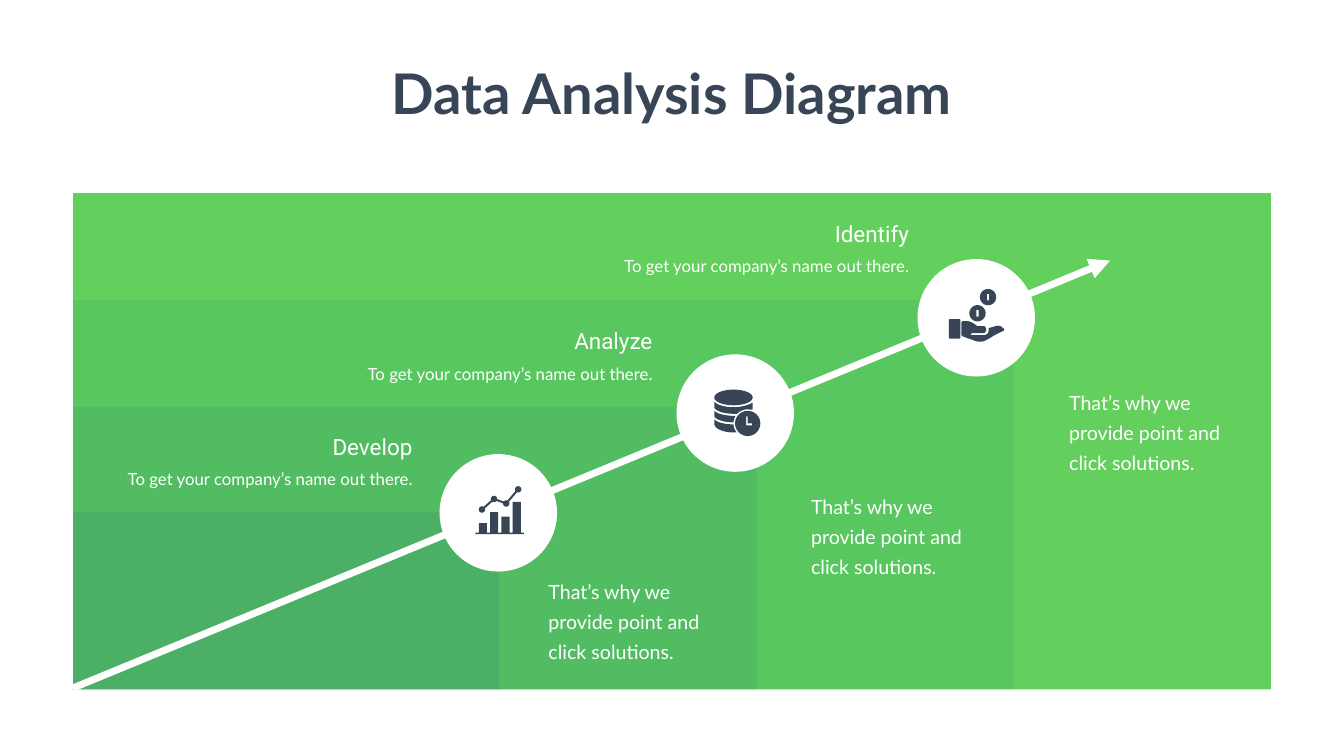
"""Build the data analysis diagram: nested green steps, a rising arrow and three stages."""
import math
from dataclasses import dataclass

import lxml.etree
import pptx
import pptx.dml.color
import pptx.enum.shapes
import pptx.enum.text
import pptx.oxml
import pptx.oxml.ns
import pptx.util

Pt = pptx.util.Pt
PRESET = pptx.enum.shapes.MSO_SHAPE
ALIGN = pptx.enum.text.PP_ALIGN
Contour = list[tuple[float, ...]]

WHITE, DARK = "FFFFFF", "374556"
LEFT, BOTTOM = 104.4, 985
CIRCLE = 167.8
CAPTION = "To get your company’s name out there."
NOTE = "That’s why we provide point and click solutions."


@dataclass
class Step:
    top: float
    width: float
    color: str
    opacity: int


@dataclass
class Stage:
    name: str
    text_right: float
    heading_top: float
    caption_width: float
    center: tuple[float, float]
    note: tuple[float, float]
    icon: list[list[Contour]]


def box(left: float, top: float, width: float, height: float) -> Contour:
    right, bottom = left + width, top + height
    return [(left, top), (right, top), (right, bottom), (left, bottom)]


def oval(x: float, y: float, rx: float, ry: float) -> Contour:
    angles = [math.tau * step / 48 for step in range(48)]
    return [(x + rx * math.cos(angle), y + ry * math.sin(angle)) for angle in angles]


def link(start: tuple[float, float], end: tuple[float, float], gap: float, width: float) -> Contour:
    length = math.dist(start, end)
    ux, uy = (end[0] - start[0]) / length, (end[1] - start[1]) / length
    corners = [(gap, -1), (length - gap, -1), (length - gap, 1), (gap, 1)]
    return [
        (start[0] + ux * along - uy * side * width / 2, start[1] + uy * along + ux * side * width / 2)
        for along, side in corners
    ]


def flatten(contour: Contour) -> list[tuple[float, float]]:
    points = []
    for segment in contour:
        if len(segment) == 2:
            points.append(segment)
            continue
        x0, y0 = points[-1]
        x1, y1, x2, y2, x3, y3 = segment
        for step in range(1, 9):
            t = step / 8
            a, b, c, d = (1 - t) ** 3, 3 * t * (1 - t) ** 2, 3 * t * t * (1 - t), t**3
            points.append((a * x0 + b * x1 + c * x2 + d * x3, a * y0 + b * y1 + c * y2 + d * y3))
    return points


def chart_icon() -> list[list[Contour]]:
    bar_tops = [14.8, -1.1, 5.4, -15.5]
    bars = [box(-27.7 + 16.1 * i, top, 11.5, 28.4 - top) for i, top in enumerate(bar_tops)]
    dots = [(-23.4, -4.7), (-6.1, -19.8), (11.2, -13.3), (28.4, -33.5)]
    trend = [oval(x, y, 4.5, 4.5) for x, y in dots]
    trend += [link(start, end, 4.4, 2.9) for start, end in zip(dots, dots[1:])]
    return [bars + [box(-32.8, 28.4, 69.2, 2.2)], trend]


def database_icon() -> list[list[Contour]]:
    upper = [
        (-2.5, 1.1), (2.5, 1.1), (6.1, -2.5, 11.9, -5.4, 17.6, -5.4), (23.4, -4.7), (24.8, -5.4),
        (24.8, -14.8), (18.4, -11.2, 7.6, -8.3, -2.5, -8.3), (-14, -8.3, -25.6, -11.2, -29.9, -16.2),
        (-29.9, -8.3), (-29.9, -4, -17.6, 1.1, -2.5, 1.1),
    ]
    middle = [
        (-2.5, 13.3), (-2.5, 10.4, -1.1, 6.8, 0.4, 4), (-2.5, 4), (-14, 4, -25.6, 1.1, -29.9, -3.2),
        (-29.9, 4), (-29.9, 8.3, -17.6, 13.3, -2.5, 13.3),
    ]
    lower = [
        (-2.5, 16.2), (-13.3, 16.2, -25.6, 14, -29.9, 9), (-29.9, 15.5),
        (-29.9, 22, -17.6, 27.7, -2.5, 27.7), (1.8, 27.7), (-0.4, 24.1, -2.5, 20.5, -2.5, 16.2),
    ]
    hands = [(15.5, 4.7), (17.6, 4.7), (17.6, 14.8), (24.1, 14.8), (24.1, 17.6), (15.5, 17.6)]
    clock = [oval(17.8, 14.8, 18, 18), hands]
    return [[middle], [upper], [oval(-2.5, -22.3, 27.4, 11.2)], [lower], clock]


def coins_icon() -> list[list[Contour]]:
    cuff = [
        (-37.4, 1.8), (-24.2, 1.8), (-23.4, 1.8, -22.6, 2.6, -22.6, 3.4), (-22.6, 28.3),
        (-22.6, 29.1, -23.4, 29.9, -24.2, 29.9), (-37.4, 29.9),
        (-38.2, 29.9, -39.2, 29.1, -39.2, 28.3), (-39.2, 3.4), (-39.2, 2.6, -38.2, 1.8, -37.4, 1.8),
    ]
    hand = [
        (39.2, 15.5), (35.6, 11.9, 32.8, 10.4, 27.7, 11.9), (17.6, 14.8), (17.6, 16.9),
        (17.6, 19.1, 17.6, 20.5, 16.2, 22.7), (14, 24.1, 12.6, 24.8, 10.4, 24.8), (-6.1, 24.8),
        (-6.8, 24.8, -7.6, 24.1, -7.6, 23.4), (-7.6, 22.7, -6.8, 22, -6.1, 22), (10.4, 22),
        (11.9, 22, 12.6, 20.5, 13.3, 19.8), (14, 19.1, 14, 18.4, 14, 16.9),
        (14, 14.8, 13.3, 11.9, 10.4, 11.9), (1.1, 11.9), (-0.4, 10.4),
        (-1.8, 9.7, -6.8, 4.7, -14, 4.7), (-19.1, 4.7), (-19.8, 4.7, -21.2, 6.1, -21.2, 6.8),
        (-21.2, 24.8), (-19.8, 26.3), (-14, 28.4, -11.2, 29.9, -7.6, 30.6),
        (-1.1, 33.5, 1.8, 34.2, 5.4, 34.2), (9.7, 34.2, 12.6, 32.8, 19.1, 29.2),
        (23.4, 26.3, 29.9, 22.7, 39.2, 18.4), (40, 16.9),
    ]
    coins = [
        [oval(x, y, 11.6, 11.6), box(x - 1.5, y - 4.7, 3, 9.4)] for x, y in [(16.9, -29.5), (1.8, -6.5)]
    ]
    return [[cuff], [hand], *coins]


STEPS = [
    Step(275.8, 1710.7, "63CF5C", 100),
    Step(429.1, 1343.5, "30A76D", 20),
    Step(581.8, 976.3, "36936E", 20),
    Step(731.5, 608.4, "3A7C79", 20),
]
STAGES = [
    Stage("Develop", 596.2, 614.9, 489.6, (711.7, 732.6), (776.2, 815), chart_icon()),
    Stage("Analyze", 938.9, 464.4, 428.4, (1050.1, 590.1), (1151.3, 693.4), database_icon()),
    Stage("Identify", 1305.4, 311, 453.6, (1394.3, 454), (1519.9, 545), coins_icon()),
]


def rgb(color: str) -> pptx.dml.color.RGBColor:
    return pptx.dml.color.RGBColor.from_string(color)


def paint(shape, color: str, opacity: int = 100) -> None:
    shape.shadow.inherit = False
    shape.fill.solid()
    shape.fill.fore_color.rgb = rgb(color)
    shape.line.fill.background()
    if opacity < 100:
        fill_color = shape.fill._xPr.find(".//" + pptx.oxml.ns.qn("a:srgbClr"))
        lxml.etree.SubElement(fill_color, pptx.oxml.ns.qn("a:alpha"), val=str(opacity * 1000))


def add_preset(slide, kind, left, top, width, height, color: str, opacity: int = 100) -> None:
    paint(slide.shapes.add_shape(kind, Pt(left), Pt(top), Pt(width), Pt(height)), color, opacity)


def add_text(slide, text, left, top, width, height, size, align=ALIGN.LEFT, font="Lato",
             color=WHITE, bold=False, spacing=None, wrap=True) -> None:
    text_frame = slide.shapes.add_textbox(Pt(left), Pt(top), Pt(width), Pt(height)).text_frame
    text_frame.word_wrap = wrap
    text_frame.text = text
    paragraph = text_frame.paragraphs[0]
    paragraph.alignment = align
    if spacing:
        paragraph.line_spacing = Pt(spacing)
    run_font = paragraph.runs[0].font
    run_font.name, run_font.size, run_font.bold = font, Pt(size), bold
    run_font.color.rgb = rgb(color)


def add_outline(slide, contours: list[Contour], center: tuple[float, float]) -> None:
    outlines = [[(Pt(x), Pt(y)) for x, y in flatten(contour)] for contour in contours]
    builder = slide.shapes.build_freeform(*outlines[0][0])
    builder.add_line_segments(outlines[0][1:])
    for outline in outlines[1:]:
        builder.move_to(*outline[0])
        builder.add_line_segments(outline[1:])
    paint(builder.convert_to_shape(Pt(center[0]), Pt(center[1])), DARK)


def add_arrow(slide, start: tuple[float, float], end: tuple[float, float]) -> None:
    kind = pptx.enum.shapes.MSO_CONNECTOR.STRAIGHT
    arrow = slide.shapes.add_connector(kind, *(Pt(value) for value in start + end))
    arrow.line.color.rgb = rgb(WHITE)
    arrow.line.width = Pt(10)
    lxml.etree.SubElement(arrow.line._get_or_add_ln(), pptx.oxml.ns.qn("a:tailEnd"), type="triangle")
    lxml.etree.SubElement(arrow._element.spPr, pptx.oxml.ns.qn("a:effectLst"))


def add_stage(slide, stage: Stage) -> None:
    add_text(slide, CAPTION, stage.text_right - stage.caption_width, stage.heading_top + 51.1,
             stage.caption_width, 36, 24, ALIGN.RIGHT)
    add_text(slide, stage.name, stage.text_right - 246.2, stage.heading_top, 246.2, 46, 32,
             ALIGN.RIGHT, "Roboto")
    x, y = stage.center
    add_preset(slide, PRESET.OVAL, x - CIRCLE / 2, y - CIRCLE / 2, CIRCLE, CIRCLE, WHITE)
    for contours in stage.icon:
        add_outline(slide, contours, stage.center)
    add_text(slide, NOTE, *stage.note, 255.6, 132.5, 28, spacing=43)


def main() -> None:
    presentation = pptx.Presentation()
    presentation.slide_width, presentation.slide_height = Pt(1919.5), Pt(1080)
    slide = presentation.slides.add_slide(presentation.slide_layouts[6])
    slide.background.fill.solid()
    slide.background.fill.fore_color.rgb = rgb("FEFFFE")
    for step in STEPS:
        add_preset(slide, PRESET.RECTANGLE, LEFT, step.top, step.width, BOTTOM - step.top,
                   step.color, step.opacity)
    add_arrow(slide, (LEFT, 982.8), (1585.4, 372.2))
    for stage in STAGES:
        add_stage(slide, stage)
    add_text(slide, "Data Analysis Diagram", 542.2, 80.6, 834.5, 104.4, 80, ALIGN.CENTER,
             color=DARK, bold=True, wrap=False)
    presentation.save("out.pptx")


if __name__ == "__main__":
    main()
